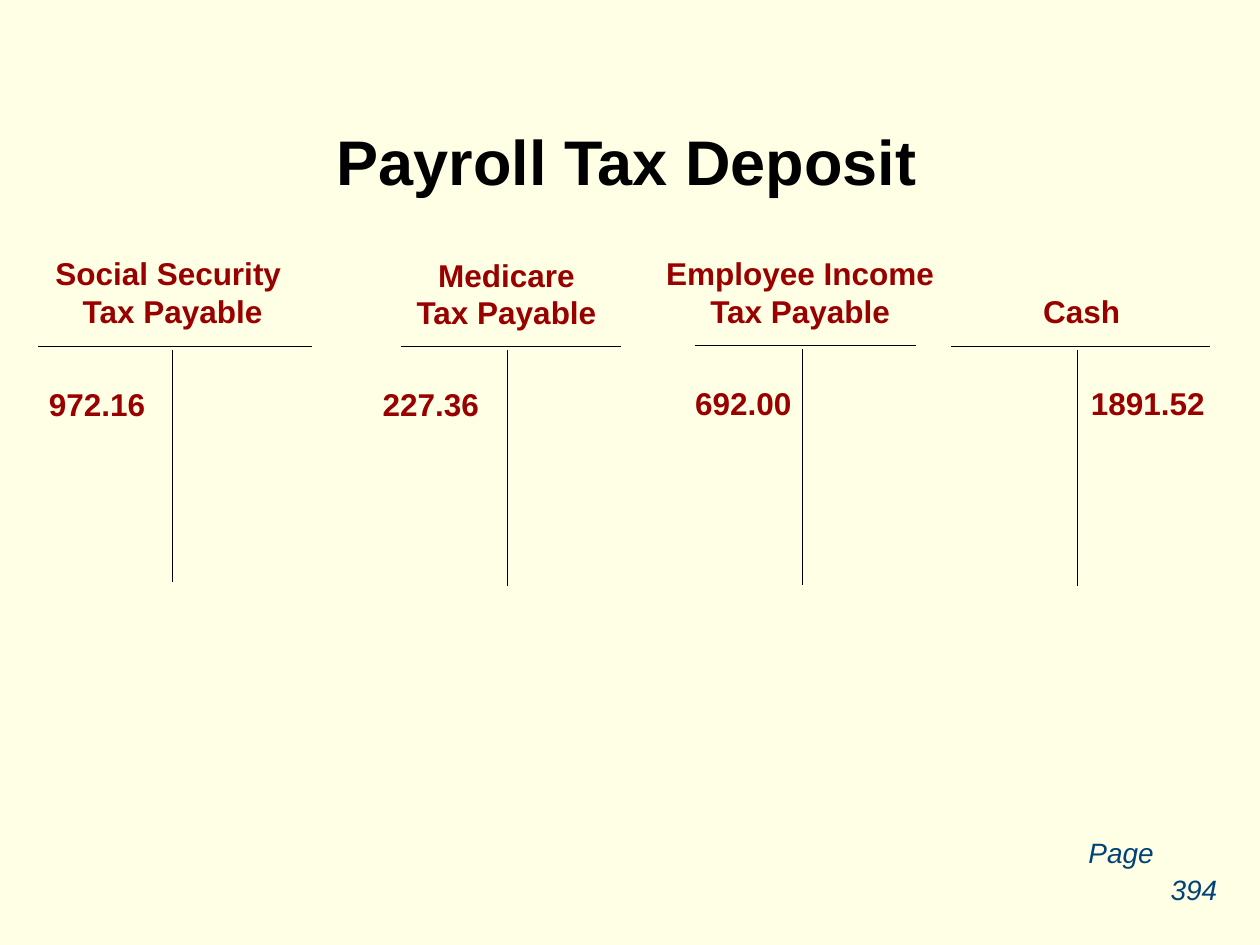
from dataclasses import dataclass

from lxml.etree import SubElement
from pptx import Presentation
from pptx.dml.color import RGBColor
from pptx.enum.shapes import MSO_CONNECTOR
from pptx.enum.text import MSO_ANCHOR, MSO_AUTO_SIZE, PP_ALIGN
from pptx.oxml.ns import qn
from pptx.util import Inches, Pt


@dataclass(frozen=True)
class Theme:
    """Hold the colours and type sizes of the slide."""
    background: str = "FFFFE5"
    title: str = "000000"
    account: str = "990000"
    page: str = "004477"
    rule: str = "000000"
    font: str = "Arial"
    title_size: int = 36
    account_size: int = 18
    page_size: int = 16
    rule_width: float = 0.74
    line_spacing: float = 1.2


THEME = Theme()
TITLE = {"size": THEME.title_size, "color": THEME.title, "bold": True}
ACCOUNT = {"size": THEME.account_size, "color": THEME.account, "bold": True}
PAGE = {"size": THEME.page_size, "color": THEME.page, "italic": True}


def add_text(slide, box, lines, style, align=PP_ALIGN.CENTER, fixed=False):
    """Add a text box with one paragraph for each line."""
    shape = slide.shapes.add_textbox(*map(Inches, box))
    frame_format = {
        "word_wrap": fixed,
        "auto_size": MSO_AUTO_SIZE.NONE,
        "vertical_anchor": MSO_ANCHOR.MIDDLE if fixed else MSO_ANCHOR.TOP,
        "margin_left": Inches(0.1 if align == PP_ALIGN.LEFT else 0),
        "margin_right": Inches(0),
    }
    for name, value in frame_format.items():
        setattr(shape.text_frame, name, value)
    font_format = {
        "name": THEME.font,
        "size": Pt(style["size"]),
        "bold": style.get("bold", False),
        "italic": style.get("italic", False),
    }
    for index, line in enumerate(lines):
        paragraph = shape.text_frame.paragraphs[0] if index == 0 else shape.text_frame.add_paragraph()
        paragraph.alignment = align
        paragraph.line_spacing = Pt(style["size"] * THEME.line_spacing)
        run = paragraph.add_run()
        run.text = line
        for name, value in font_format.items():
            setattr(run.font, name, value)
        run.font.color.rgb = RGBColor.from_string(style["color"])


def add_rule(slide, start, end):
    """Add a thin straight line between two points."""
    connector = slide.shapes.add_connector(MSO_CONNECTOR.STRAIGHT, *map(Inches, (*start, *end)))
    connector.line.color.rgb = RGBColor.from_string(THEME.rule)
    connector.line.width = Pt(THEME.rule_width)
    SubElement(connector.element.spPr, qn("a:effectLst"))


def add_account(slide, box, stem, heading, heading_box, amount, amount_box):
    """Add a T account whose parts are offset from the corner of its box."""
    left, top, width, height = box
    add_rule(slide, (left, top), (left + width, top))
    add_rule(slide, (left + stem, top + 0.03), (left + stem, top + height))
    for lines, (x, y, w, h) in ((heading, heading_box), ([amount], amount_box)):
        add_text(slide, (left + x, top + y, w, h), lines, ACCOUNT)


def add_page_reference(slide, box):
    """Add the stepped page reference inside its box."""
    left, top, width, height = box
    add_text(slide, (left, top, 0.72, 0.37), ["Page"], PAGE, PP_ALIGN.LEFT)
    add_text(slide, (left + width - 0.57, top + height - 0.37, 0.57, 0.37), ["394"], PAGE)


def build_slide(presentation):
    """Build the payroll tax deposit slide."""
    slide = presentation.slides.add_slide(presentation.slide_layouts[6])
    slide.background.fill.solid()
    slide.background.fill.fore_color.rgb = RGBColor.from_string(THEME.background)
    accounts = [
        ((0.3, 2.75, 2.18, 1.87), 1.07, ["Social Security ", "Tax Payable"],
         (0.04, -0.78, 2.06, 0.7), "972.16", (-0.01, 0.26, 0.96, 0.4)),
        ((3.18, 2.75, 1.75, 1.9), 0.85, ["Medicare", "Tax Payable"],
         (0.02, -0.77, 1.64, 0.7), " 227.36", (-0.31, 0.26, 1.03, 0.4)),
        ((5.52, 2.74, 1.75, 1.9), 0.85, ["Employee Income", "Tax Payable"],
         (-0.33, -0.77, 2.32, 0.7), " 692.00", (-0.17, 0.26, 1.03, 0.4)),
        ((7.55, 2.75, 2.05, 1.9), 1, ["Cash"],
         (0.63, -0.48, 0.81, 0.4), "1891.52", (1.01, 0.25, 1.1, 0.4)),
    ]
    for account in accounts:
        add_account(slide, *account)
    add_page_reference(slide, (8.54, 6.58, 1.22, 0.67))
    add_text(slide, (0.24, 0.88, 9.47, 0.78), ["Payroll Tax Deposit"], TITLE, fixed=True)


def main():
    """Create and save the presentation."""
    presentation = Presentation()
    presentation.slide_width = Inches(10)
    presentation.slide_height = Inches(7.5)
    build_slide(presentation)
    presentation.save("out.pptx")


main()
